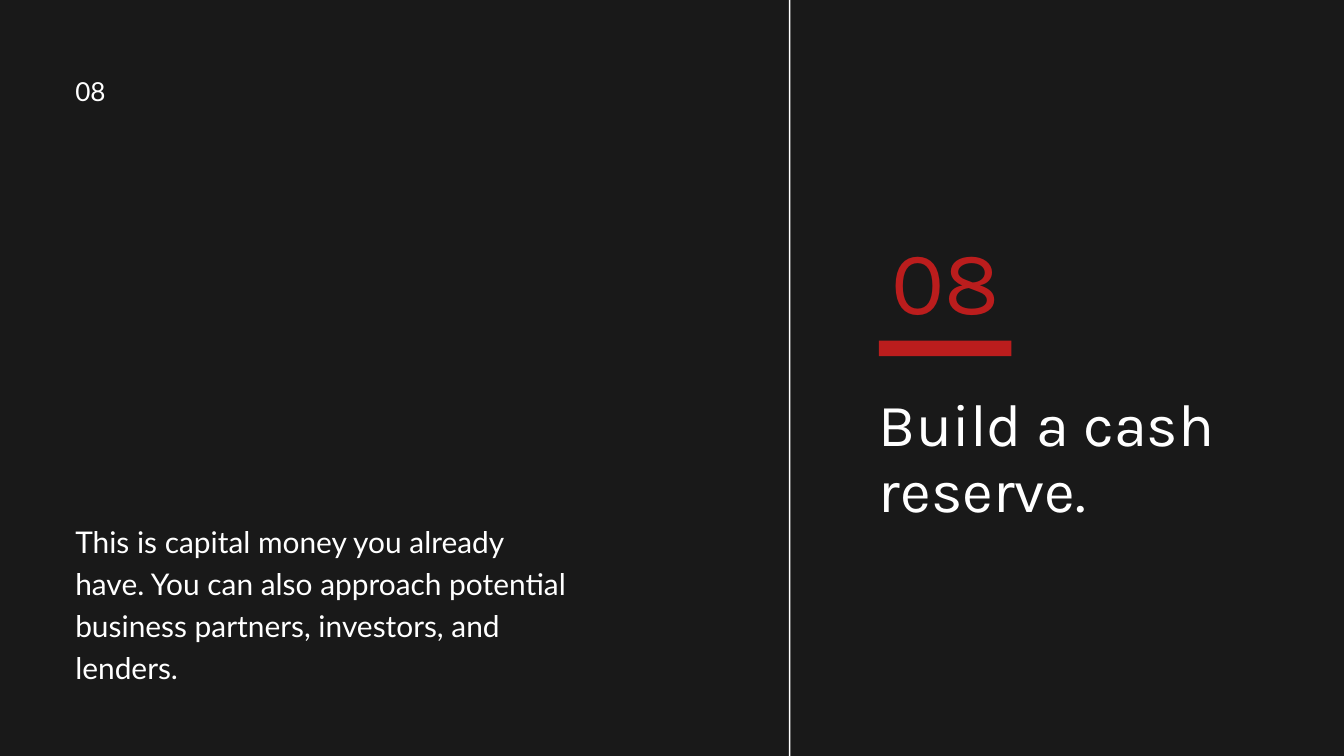
import pptx
import pptx.dml.color
import pptx.enum.shapes
import pptx.enum.text
import pptx.util

Pt = pptx.util.Pt
ALIGN = pptx.enum.text.PP_ALIGN
COLORS = {"background": "191919", "text": "FFFFFF", "accent": "BB1D1D"}
LEFT_MARGIN = 80.64
RIGHT_COLUMN = 941.76
NUMBER_WIDTH = 141.84


def color(name):
    return pptx.dml.color.RGBColor.from_string(COLORS[name])


def set_text(shape, box, text, font, size, line_spacing, color_name="text", align=ALIGN.LEFT):
    """Place a text shape and format its single paragraph."""
    shape.left, shape.top, shape.width, shape.height = [Pt(length) for length in box]
    frame = shape.text_frame
    frame.text = text
    frame.word_wrap = True
    frame.auto_size = pptx.enum.text.MSO_AUTO_SIZE.NONE
    frame.vertical_anchor = pptx.enum.text.MSO_ANCHOR.TOP
    frame.margin_left = frame.margin_top = frame.margin_right = frame.margin_bottom = 0
    paragraph = frame.paragraphs[0]
    paragraph.alignment = align
    paragraph.line_spacing = Pt(line_spacing)
    paragraph.space_before = Pt(0)
    run = paragraph.runs[0]
    run.font.name = font
    run.font.size = Pt(size)
    run.font.color.rgb = color(color_name)


presentation = pptx.Presentation()
presentation.slide_width = Pt(1440)
presentation.slide_height = Pt(810)
slide = presentation.slides.add_slide(presentation.slide_layouts[5])
slide.background.fill.solid()
slide.background.fill.fore_color.rgb = color("background")

set_text(slide.shapes.title, (RIGHT_COLUMN, 421.2, 416.88, 143.28),
         "Build a cash reserve.", "Karla", 64, 70.4)

body = ("This is capital money you already have. You can also approach "
        "potential business partners, investors, and lenders.")
text_boxes = [
    ((LEFT_MARGIN, 555.12, 534.24, 173.52), body, "Lato", 32, 44.8, "text", ALIGN.LEFT),
    ((RIGHT_COLUMN, 250.56, NUMBER_WIDTH, 110.16), "08", "Karla", 96, 105.6, "accent", ALIGN.CENTER),
    ((LEFT_MARGIN, 83.52, 113.76, 30.96), "08", "Lato", 28, 30.8, "text", ALIGN.LEFT),
]
for box, *formatting in text_boxes:
    text_box = slide.shapes.add_textbox(*[Pt(length) for length in box])
    set_text(text_box, box, *formatting)

bars = [
    ((RIGHT_COLUMN, 365.04, NUMBER_WIDTH, 16.56), "accent"),  # underline of the number
    ((845.28, -20.88, 1.44, 851.76), "text"),  # column divider
]
for box, color_name in bars:
    bar = slide.shapes.add_shape(pptx.enum.shapes.MSO_SHAPE.RECTANGLE,
                                 *[Pt(length) for length in box])
    bar.shadow.inherit = False
    bar.fill.solid()
    bar.fill.fore_color.rgb = color(color_name)
    bar.line.fill.background()

presentation.save("out.pptx")
